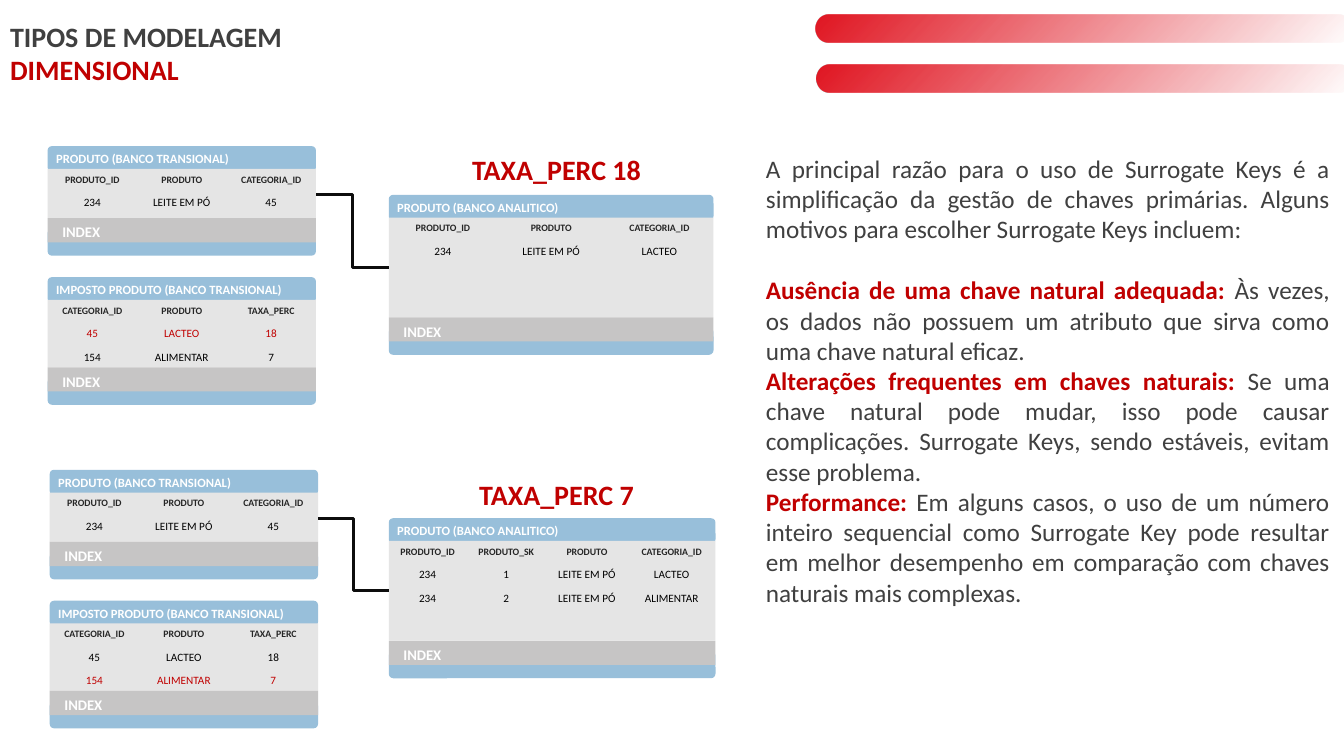
from dataclasses import dataclass
from typing import Optional

from lxml.etree import SubElement
from pptx import Presentation
from pptx.dml.color import RGBColor
from pptx.enum.shapes import MSO_CONNECTOR, MSO_SHAPE
from pptx.enum.text import MSO_ANCHOR, MSO_AUTO_SIZE, PP_ALIGN
from pptx.oxml import parse_xml
from pptx.oxml.ns import nsdecls, qn
from pptx.util import Pt

COLORS = {
    "red": "C00000",
    "bar": "E11622",
    "text": "404040",
    "heading": "262626",
    "black": "000000",
    "line": "0D0D0D",
    "white": "FFFFFF",
    "blue": "98BFDA",
    "body": "E5E5E5",
    "index": "C6C5C5",
}
FONT = "Calibri"
NO_TABLE_STYLE = "{2D5ABB26-0587-4C30-8999-92F81FD0307C}"

# Offsets and heights shared by all the cards
BODY_OFFSET, HEADER_HEIGHT = 16.2, 18.2
INDEX_HEIGHT, FOOTER_OFFSET, FOOTER_HEIGHT = 17.3, 7.4, 19.4
ROW_HEIGHT = 13.7


@dataclass(frozen=True)
class Card:
    title: str
    left: float
    top: float
    width: float
    body_height: float
    rows: tuple[tuple[str, ...], ...]
    red_row: Optional[int] = None
    column_widths: Optional[tuple[float, ...]] = None


@dataclass(frozen=True)
class Reason:
    lead: str
    detail: str
    space_before: float = 0


PRODUCT = (("PRODUTO_ID", "PRODUTO", "CATEGORIA_ID"), ("234", "LEITE EM PÓ", "45"))
TAX = (
    ("CATEGORIA_ID", "PRODUTO", "TAXA_PERC"),
    ("45", "LACTEO", "18"),
    ("154", "ALIMENTAR", "7"),
)
ANALYTIC = (PRODUCT[0], ("234", "LEITE EM PÓ", "LACTEO"))
ANALYTIC_WITH_KEY = (
    ("PRODUTO_ID", "PRODUTO_SK", "PRODUTO", "CATEGORIA_ID"),
    ("234", "1", "LEITE EM PÓ", "LACTEO"),
    ("234", "2", "LEITE EM PÓ", "ALIMENTAR"),
)
PRODUCT_TITLE = "PRODUTO (BANCO TRANSIONAL)"
TAX_TITLE = "IMPOSTO PRODUTO (BANCO TRANSIONAL)"
ANALYTIC_TITLE = "PRODUTO (BANCO ANALITICO)"

CARDS = (
    Card(PRODUCT_TITLE, 34, 104.4, 191.7, 35.3, PRODUCT),
    Card(TAX_TITLE, 34, 198, 191.7, 48.2, TAX, red_row=1),
    Card(ANALYTIC_TITLE, 277.7, 139.2, 232, 71.3, ANALYTIC),
    Card(PRODUCT_TITLE, 35.5, 335.6, 191.7, 35.3, PRODUCT),
    Card(TAX_TITLE, 35.5, 429.1, 191.7, 48.2, TAX, red_row=2),
    Card(ANALYTIC_TITLE, 277.7, 370.2, 233.4, 71.3, ANALYTIC_WITH_KEY,
         column_widths=(55.5, 56.9, 58.4, 62.6)),
)
LINKS = ((226, 139, 277.9, 190.8), (227.5, 370.1, 277.9, 421.9))
RATES = (("TAXA_PERC 18", 105.1), ("TAXA_PERC 7", 337))
REASONS = (
    Reason("", "A principal razão para o uso de Surrogate Keys é a simplificação da gestão "
           "de chaves primárias. Alguns motivos para escolher Surrogate Keys incluem:"),
    Reason("Ausência de uma chave natural adequada: ",
           "Às vezes, os dados não possuem um atributo que sirva como uma chave natural "
           "eficaz.", space_before=22),
    Reason("Alterações frequentes em chaves naturais:",
           " Se uma chave natural pode mudar, isso pode causar complicações. Surrogate "
           "Keys, sendo estáveis, evitam esse problema."),
    Reason("Performance:",
           " Em alguns casos, o uso de um número inteiro sequencial como Surrogate Key pode "
           "resultar em melhor desempenho em comparação com chaves naturais mais complexas."),
)


def rgb(name: str) -> RGBColor:
    return RGBColor.from_string(COLORS[name])


def write(paragraph, text: str, *, size: float, color: str, bold: bool = False,
          align=PP_ALIGN.LEFT) -> None:
    paragraph.alignment = align
    run = paragraph.add_run()
    run.text = text
    run.font.name = FONT
    run.font.size = Pt(size)
    run.font.bold = bold
    run.font.color.rgb = rgb(color)


def add_text_frame(slide, left: float, top: float, width: float, height: float):
    frame = slide.shapes.add_textbox(Pt(left), Pt(top), Pt(width), Pt(height)).text_frame
    frame.word_wrap = True
    return frame


def add_block(slide, kind, left: float, top: float, width: float, height: float, color: str):
    shape = slide.shapes.add_shape(kind, Pt(left), Pt(top), Pt(width), Pt(height))
    shape.shadow.inherit = False
    shape.fill.solid()
    shape.fill.fore_color.rgb = rgb(color)
    shape.line.fill.background()
    return shape


def add_fading_bar(slide, left: float, top: float) -> None:
    """Draw a pill whose red fades out towards its lower right corner."""
    bar = add_block(slide, MSO_SHAPE.ROUNDED_RECTANGLE, left, top, 383, 19.4, "bar")
    bar.adjustments[0] = 0.5
    stops = "".join(
        f'<a:gs pos="{level}"><a:srgbClr val="{COLORS["bar"]}">'
        f'<a:alpha val="{level}"/></a:srgbClr></a:gs>'
        for level in range(0, 100001, 25000)
    )
    gradient = parse_xml(
        f'<a:gradFill {nsdecls("a")} rotWithShape="1"><a:gsLst>{stops}</a:gsLst>'
        '<a:path path="circle"><a:fillToRect l="100000" t="100000"/></a:path></a:gradFill>'
    )
    properties = bar.element.spPr
    properties.replace(properties.find(qn("a:solidFill")), gradient)


def add_card_table(slide, card: Card, top: float) -> None:
    columns = len(card.rows[0])
    widths = card.column_widths or (card.width / columns,) * columns
    frame = slide.shapes.add_table(len(card.rows), columns, Pt(card.left), Pt(top),
                                   Pt(card.width), Pt(ROW_HEIGHT * len(card.rows)))
    table = frame.table
    table.first_row = table.horz_banding = False
    table._tbl.tblPr.find(qn("a:tableStyleId")).text = NO_TABLE_STYLE
    for column, width in zip(table.columns, widths):
        column.width = Pt(width)
    for row_number, row in enumerate(card.rows):
        heading = row_number == 0
        color = "heading" if heading else "red" if row_number == card.red_row else "black"
        for column_number, text in enumerate(row):
            cell = table.cell(row_number, column_number)
            cell.fill.background()
            write(cell.text_frame.paragraphs[0], text, size=7 if heading else 8,
                  color=color, bold=heading, align=PP_ALIGN.CENTER)


def add_card(slide, card: Card) -> None:
    body_top = card.top + BODY_OFFSET
    index_top = body_top + card.body_height
    rounded, square = MSO_SHAPE.ROUNDED_RECTANGLE, MSO_SHAPE.RECTANGLE
    for kind, top, height, color in (
        (rounded, card.top, HEADER_HEIGHT, "blue"),
        (rounded, index_top + FOOTER_OFFSET, FOOTER_HEIGHT, "blue"),
        (square, body_top, card.body_height, "body"),
        (square, index_top, INDEX_HEIGHT, "index"),
    ):
        add_block(slide, kind, card.left, top, card.width, height, color)
    for text, shift, top, height, size in (
        ("INDEX", 3.4, index_top, 20.9, 10.5),
        (card.title, -1, card.top, HEADER_HEIGHT, 9),
    ):
        frame = add_text_frame(slide, card.left + shift, top, card.width + 3, height)
        write(frame.paragraphs[0], text, size=size, color="white", bold=True)
    add_card_table(slide, card, body_top)


def add_link(slide, *ends: float) -> None:
    link = slide.shapes.add_connector(MSO_CONNECTOR.ELBOW, *map(Pt, ends))
    link.line.color.rgb = rgb("line")
    link.line.width = Pt(2.25)
    SubElement(link.element.spPr, qn("a:effectLst"))


def add_title(slide) -> None:
    title = slide.shapes.title
    title.left, title.top, title.width, title.height = Pt(0), Pt(10), Pt(582.5), Pt(55.4)
    frame = title.text_frame
    frame.auto_size = MSO_AUTO_SIZE.NONE
    frame.vertical_anchor = MSO_ANCHOR.MIDDLE
    write(frame.paragraphs[0], "TIPOS DE MODELAGEM", size=20, color="text", bold=True)
    write(frame.add_paragraph(), "DIMENSIONAL", size=20, color="red", bold=True)


def add_reasons(slide) -> None:
    frame = add_text_frame(slide, 540, 105.8, 416.9, 356.4)
    for number, reason in enumerate(REASONS):
        paragraph = frame.add_paragraph() if number else frame.paragraphs[0]
        if reason.space_before:
            paragraph.space_before = Pt(reason.space_before)
        if reason.lead:
            write(paragraph, reason.lead, size=18, color="red", bold=True)
        write(paragraph, reason.detail, size=18, color="text", align=PP_ALIGN.JUSTIFY)


def add_rate(slide, text: str, top: float) -> None:
    shape = add_block(slide, MSO_SHAPE.RECTANGLE, 326.2, top, 142.6, 31.5, "white")
    shape.text_frame.vertical_anchor = MSO_ANCHOR.MIDDLE
    write(shape.text_frame.paragraphs[0], text, size=20, color="red", bold=True,
          align=PP_ALIGN.CENTER)


def main() -> None:
    presentation = Presentation()
    presentation.slide_width, presentation.slide_height = Pt(960), Pt(540)
    slide = presentation.slides.add_slide(presentation.slide_layouts[5])
    add_reasons(slide)
    add_fading_bar(slide, 582.5, 10.8)
    add_fading_bar(slide, 583.2, 46.4)
    add_title(slide)
    for card in CARDS:
        add_card(slide, card)
    for link in LINKS:
        add_link(slide, *link)
    for text, top in RATES:
        add_rate(slide, text, top)
    presentation.save("out.pptx")


if __name__ == "__main__":
    main()
